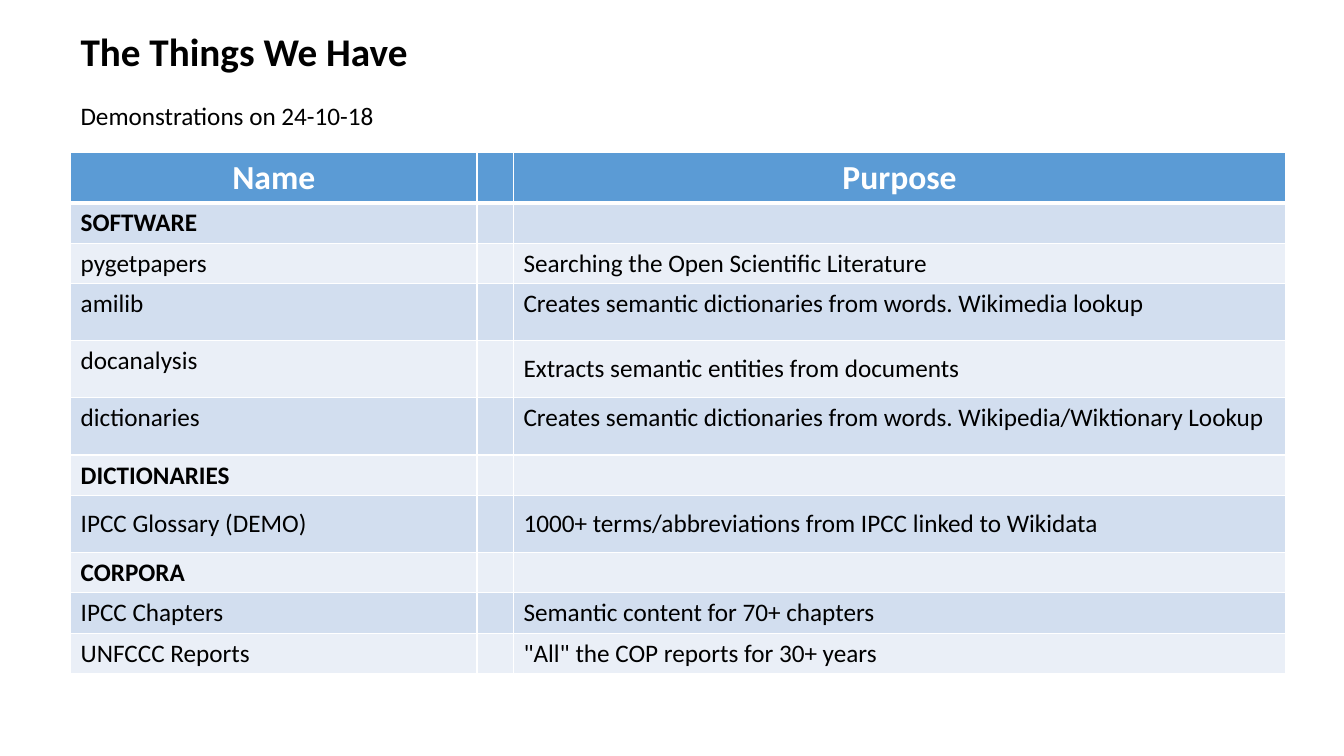
from lxml.etree import SubElement
from pptx import Presentation
from pptx.dml.color import RGBColor
from pptx.enum.text import MSO_ANCHOR, MSO_AUTO_SIZE, PP_ALIGN
from pptx.oxml.ns import qn
from pptx.util import Cm, Pt

BLACK = RGBColor(0x00, 0x00, 0x00)
WHITE = RGBColor(0xFF, 0xFF, 0xFF)
HEADER_BLUE = RGBColor(0x5B, 0x9B, 0xD5)
BAND_DARK = RGBColor(0xD2, 0xDE, 0xEF)
BAND_LIGHT = RGBColor(0xEA, 0xEF, 0xF7)

LEFT = 1.78
SHORT, TALL = 0.91, 1.44
TOP, MIDDLE = MSO_ANCHOR.TOP, MSO_ANCHOR.MIDDLE
COLUMN_WIDTHS = (10.24, 0.92, 19.46)

RESOURCES = [
    ("Name", "Purpose", SHORT, TOP, TOP),
    ("SOFTWARE", "", SHORT, TOP, TOP),
    ("pygetpapers", "Searching the Open Scientific Literature", SHORT, TOP, TOP),
    ("amilib", "Creates semantic dictionaries from words. Wikimedia lookup", TALL, TOP, TOP),
    ("docanalysis", "Extracts semantic entities from documents", TALL, TOP, MIDDLE),
    ("dictionaries", "Creates semantic dictionaries from words. Wikipedia/Wiktionary Lookup",
     TALL, TOP, TOP),
    ("DICTIONARIES", "", SHORT, TOP, TOP),
    ("IPCC Glossary (DEMO)", "1000+ terms/abbreviations from IPCC linked to Wikidata",
     TALL, MIDDLE, MIDDLE),
    ("CORPORA", "", SHORT, MIDDLE, TOP),
    ("IPCC Chapters", "Semantic content for 70+ chapters", SHORT, MIDDLE, MIDDLE),
    ("UNFCCC Reports", "\"All\" the COP reports for 30+ years", SHORT, MIDDLE, MIDDLE),
]


class SlideBuilder:
    """Draws text and tables on one slide in a shared style."""

    font_name = "Calibri"

    def __init__(self, slide):
        self.slide = slide

    def fill_paragraph(self, paragraph, text, size, color=BLACK, bold=False):
        paragraph.text = text
        font = paragraph.font
        font.name, font.size, font.bold = self.font_name, Pt(size), bold
        font.color.rgb = color

    def text(self, top, height, text, size, bold=False):
        box = self.slide.shapes.add_textbox(Cm(LEFT), Cm(top), Cm(14.02), Cm(height))
        frame = box.text_frame
        frame.word_wrap = True
        frame.auto_size = MSO_AUTO_SIZE.SHAPE_TO_FIT_TEXT
        self.fill_paragraph(frame.paragraphs[0], text, size, bold=bold)

    def borders(self, cell, top, bottom):
        properties = cell._tc.get_or_add_tcPr()
        widths = {"a:lnL": 1, "a:lnR": 1, "a:lnT": top, "a:lnB": bottom}
        for position, (side, width) in enumerate(widths.items()):
            line = SubElement(properties, qn(side), w=str(Pt(width)))
            fill = SubElement(line, qn("a:solidFill"))
            SubElement(fill, qn("a:srgbClr"), val=str(WHITE))
            properties.insert(position, line)

    def table(self, top, resources):
        total_height = sum(resource[2] for resource in resources)
        table = self.slide.shapes.add_table(
            len(resources), len(COLUMN_WIDTHS), Cm(LEFT), Cm(top),
            Cm(sum(COLUMN_WIDTHS)), Cm(total_height)).table
        for column, width in zip(table.columns, COLUMN_WIDTHS):
            column.width = Cm(width)
        for index, (name, purpose, height, name_anchor, purpose_anchor) in enumerate(resources):
            header = index == 0
            band = HEADER_BLUE if header else BAND_DARK if index % 2 else BAND_LIGHT
            table.rows[index].height = Cm(height)
            entries = ((name, name_anchor), ("", TOP), (purpose, purpose_anchor))
            for cell, (text, anchor) in zip(table.rows[index].cells, entries):
                cell.fill.solid()
                cell.fill.fore_color.rgb = band
                cell.vertical_anchor = anchor
                self.borders(cell, 3 if index == 1 else 1, 3 if header else 1)
                if not text:
                    continue
                paragraph = cell.text_frame.paragraphs[0]
                if header:
                    paragraph.alignment = PP_ALIGN.CENTER
                self.fill_paragraph(paragraph, text, 24 if header else 18,
                                    WHITE if header else BLACK, header or not purpose)


def main():
    presentation = Presentation()
    presentation.slide_width, presentation.slide_height = Cm(33.87), Cm(19.05)
    builder = SlideBuilder(presentation.slides.add_slide(presentation.slide_layouts[6]))
    builder.text(0.56, 1.45, "The Things We Have", 28, bold=True)
    builder.text(2.41, 1.03, "Demonstrations on 24-10-18", 18)
    builder.table(3.84, RESOURCES)
    presentation.save("out.pptx")


if __name__ == "__main__":
    main()
